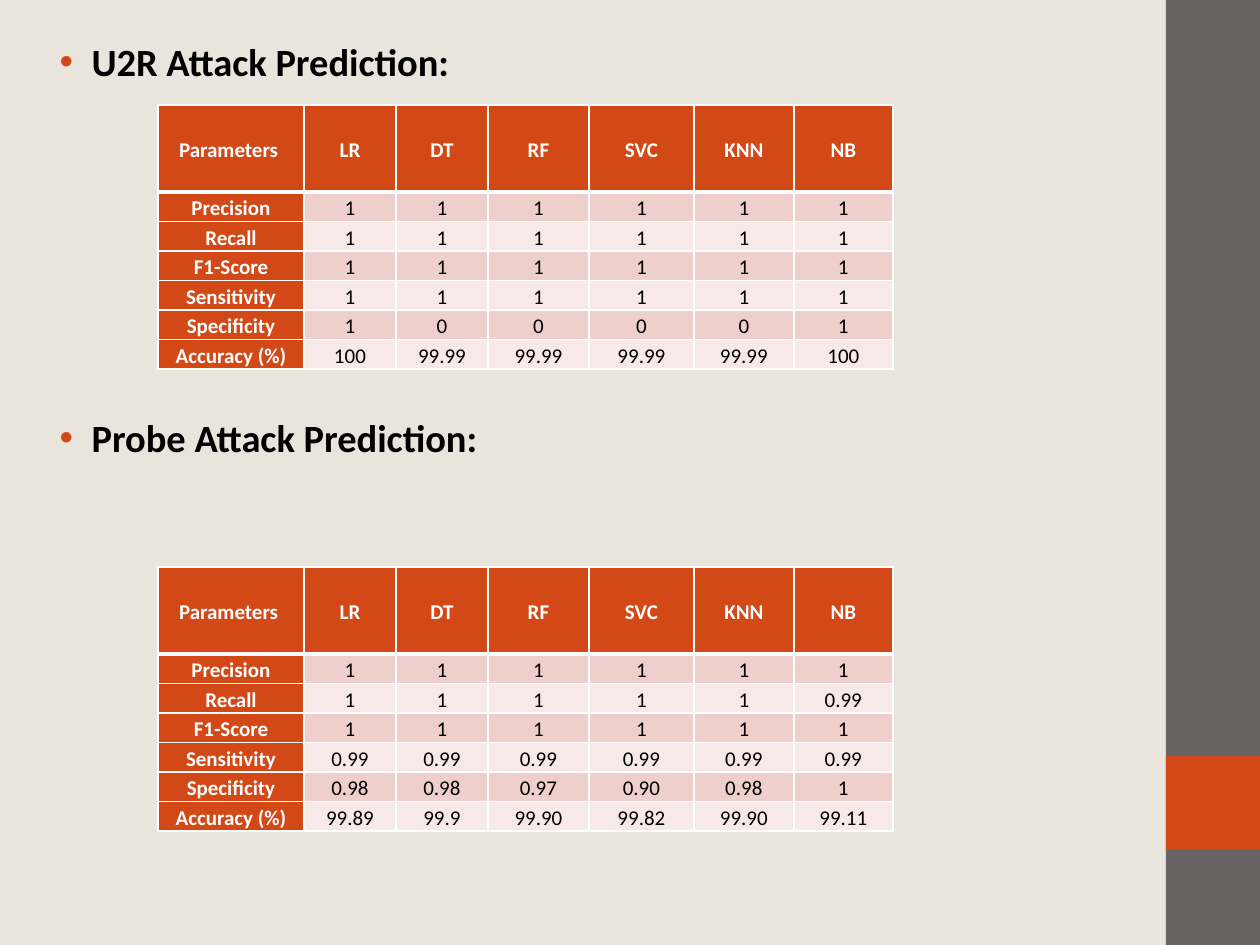
"""Build the slide of U2R and probe attack prediction scores."""
import dataclasses

import lxml.etree
import pptx
import pptx.dml.color
import pptx.enum.shapes
import pptx.enum.text
import pptx.oxml.ns
import pptx.util

SCALE = 914400 / 126
FONT = "Calibri"
RUST, GRAY, SAND = "D34817", "696464", "E9E5DC"
BANDS = ("EFCFCC", "F7E9E8")
WHITE, BLACK = "FFFFFF", "000000"
COLS = (146, 92, 92, 101, 105, 100, 99)
HEAD, ROW = 87, 29
MODELS = ("Parameters ", "LR", "DT", "RF", "SVC", "KNN", "NB")
SCORES = ("Precision", "Recall", "F1-Score", "Sensitivity", "Specificity", "Accuracy (%)")


@dataclasses.dataclass
class Bar:
    """A plain block of the side strip."""
    left: int
    top: int
    width: int
    height: int
    fill: str


@dataclasses.dataclass
class Attack:
    """A heading with its table of scores."""
    name: str
    gap: int
    top: int
    rows: tuple[str, ...]


BARS = (Bar(1166, 0, 94, 945, GRAY), Bar(1166, 756, 94, 94, RUST))
ATTACKS = (
    Attack("U2R Attack Prediction:", 0, 105, (
        "1 1 1 1 1 1",
        "1 1 1 1 1 1",
        "1 1 1 1 1 1",
        "1 1 1 1 1 1",
        "1 0 0 0 0 1",
        "100 99.99 99.99 99.99 99.99 100",
    )),
    Attack("Probe Attack Prediction:", 330, 567, (
        "1 1 1 1 1 1",
        "1 1 1 1 1 0.99",
        "1 1 1 1 1 1",
        "0.99 0.99 0.99 0.99 0.99 0.99",
        "0.98 0.98 0.97 0.90 0.98 1",
        "99.89 99.9 99.90 99.82 99.90 99.11",
    )),
)


def px(size: int) -> pptx.util.Emu:
    """Turn pixels into EMU."""
    return pptx.util.Emu(round(size * SCALE))


def tint(code: str) -> pptx.dml.color.RGBColor:
    """Turn a hex string into a colour."""
    return pptx.dml.color.RGBColor.from_string(code)


def node(parent, tag: str, **attrs: str):
    """Add a drawing element to a parent."""
    return lxml.etree.SubElement(parent, pptx.oxml.ns.qn(tag), attrs)


def style(para, size: int, code: str, bold: bool) -> None:
    """Set the font of a paragraph."""
    font = para.font
    font.name, font.size, font.bold = FONT, pptx.util.Pt(size), bold
    font.color.rgb = tint(code)


def draw_bar(slide, bar: Bar) -> None:
    """Draw one block of the side strip."""
    shape = slide.shapes.add_shape(
        pptx.enum.shapes.MSO_SHAPE.RECTANGLE,
        px(bar.left), px(bar.top), px(bar.width), px(bar.height))
    shape.shadow.inherit = False
    shape.fill.solid()
    shape.fill.fore_color.rgb = tint(bar.fill)
    shape.line.fill.background()


def draw_list(body, attacks: tuple[Attack, ...]) -> None:
    """Write the headings as a bulleted list."""
    body.left, body.top, body.width, body.height = px(32), px(32), px(1102), px(882)
    frame = body.text_frame
    frame.auto_size = pptx.enum.text.MSO_AUTO_SIZE.NONE
    frame.text = "\n".join(attack.name for attack in attacks)
    for para, attack in zip(frame.paragraphs, attacks):
        para.space_before = px(attack.gap)
        style(para, 22, BLACK, True)
        props = para._p.get_or_add_pPr()
        props.set("marL", str(px(47)))
        props.set("indent", str(px(-32)))
        mark = lxml.etree.Element(pptx.oxml.ns.qn("a:buClr"))
        node(mark, "a:srgbClr", val=RUST)
        sign = lxml.etree.Element(pptx.oxml.ns.qn("a:buChar"), char="•")
        props.find(pptx.oxml.ns.qn("a:defRPr")).addprevious(mark)
        mark.addnext(sign)


def edge(cell, side: str, width: int) -> None:
    """Draw one white border of a cell."""
    line = node(cell._tc.get_or_add_tcPr(), f"a:ln{side}", w=str(pptx.util.Pt(width)))
    node(node(line, "a:solidFill"), "a:srgbClr", val=WHITE)


def draw_cell(cell, text: str, row: int, col: int) -> None:
    """Write and format one cell."""
    label = row == 0 or col == 0
    cell.text = text
    cell.vertical_anchor = pptx.enum.text.MSO_ANCHOR.MIDDLE
    cell.margin_left = cell.margin_right = px(9)
    cell.margin_top = cell.margin_bottom = 0
    para = cell.text_frame.paragraphs[0]
    para.alignment = pptx.enum.text.PP_ALIGN.CENTER
    para.line_spacing = 1.15
    style(para, 12, WHITE if label else BLACK, label)
    for side in "LRTB":
        thick = (row, side) in ((0, "B"), (1, "T"))
        edge(cell, side, 3 if thick else 1)
    cell.fill.solid()
    cell.fill.fore_color.rgb = tint(RUST if label else BANDS[(row - 1) % 2])


def draw_table(slide, attack: Attack) -> None:
    """Draw the scores of one attack."""
    data = [MODELS] + [(name, *row.split()) for name, row in zip(SCORES, attack.rows)]
    table = slide.shapes.add_table(
        len(data), len(COLS), px(158), px(attack.top),
        px(sum(COLS)), px(HEAD + ROW * len(SCORES))).table
    table.first_col = True
    for col, width in zip(table.columns, COLS):
        col.width = px(width)
    for r, texts in enumerate(data):
        table.rows[r].height = px(ROW if r else HEAD)
        for c, text in enumerate(texts):
            draw_cell(table.cell(r, c), text, r, c)


def main() -> None:
    """Build and save the slide."""
    deck = pptx.Presentation()
    deck.slide_width, deck.slide_height = px(1260), px(945)
    slide = deck.slides.add_slide(deck.slide_layouts[1])
    slide.background.fill.solid()
    slide.background.fill.fore_color.rgb = tint(SAND)
    title = slide.shapes.title._element
    title.getparent().remove(title)
    for bar in BARS:
        draw_bar(slide, bar)
    draw_list(slide.placeholders[1], ATTACKS)
    for attack in ATTACKS:
        draw_table(slide, attack)
    deck.save("out.pptx")


if __name__ == "__main__":
    main()
